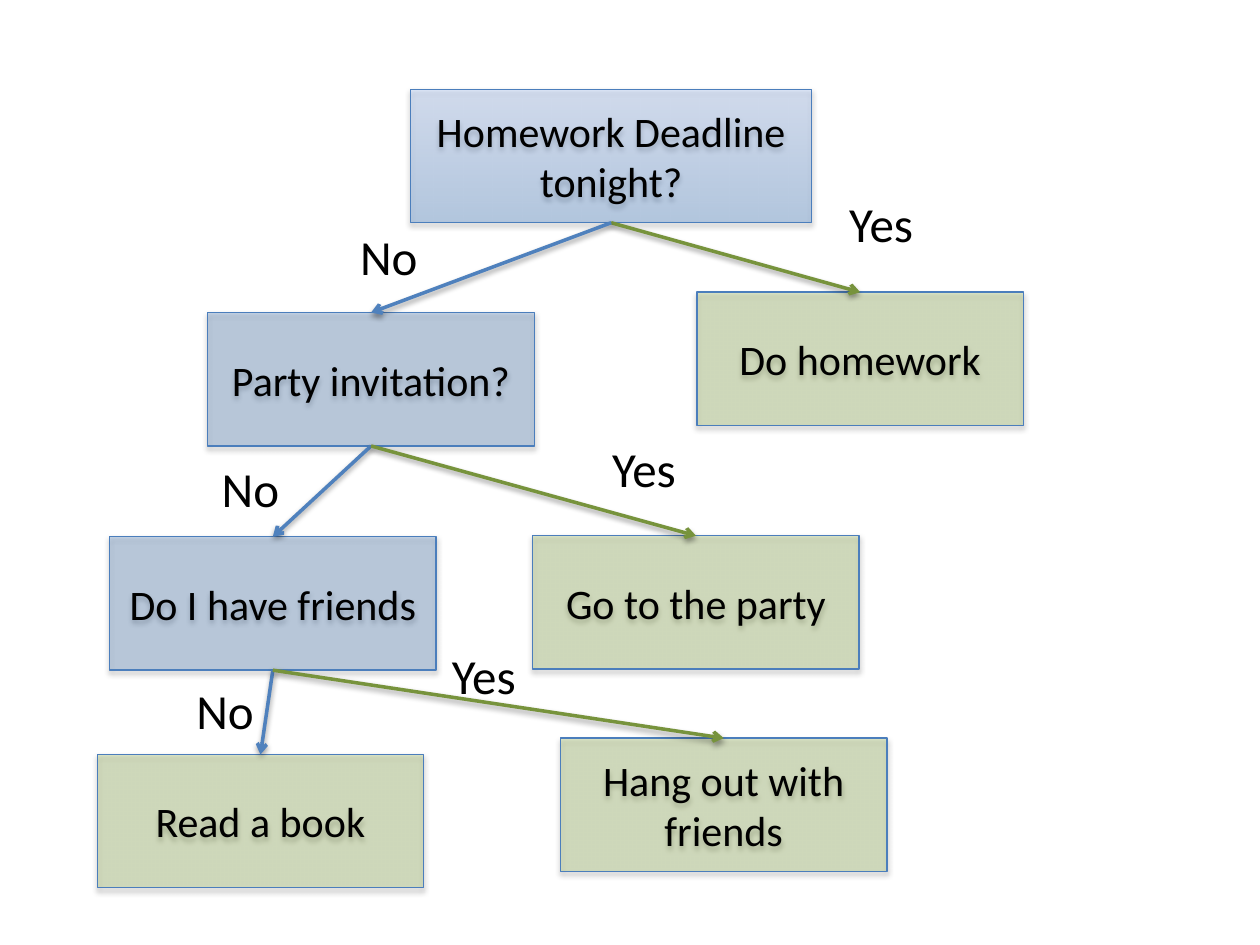
"""Draw a decision tree for how to spend the evening."""
from pptx import Presentation
from pptx.dml.color import RGBColor
from pptx.enum.shapes import MSO_CONNECTOR, MSO_SHAPE
from pptx.enum.text import MSO_ANCHOR, MSO_AUTO_SIZE, PP_ALIGN
from pptx.oxml.ns import qn
from pptx.util import Cm, Pt

RECTANGLE = MSO_SHAPE.RECTANGLE
STRAIGHT = MSO_CONNECTOR.STRAIGHT
MIDDLE = MSO_ANCHOR.MIDDLE
CENTER = PP_ALIGN.CENTER
FIT_SHAPE = MSO_AUTO_SIZE.SHAPE_TO_FIT_TEXT

BLACK = RGBColor(0x00, 0x00, 0x00)
BLUE = RGBColor(0x4F, 0x81, 0xBD)
GREEN = RGBColor(0x9B, 0xBB, 0x59)
DARK_GREEN = RGBColor(0x77, 0x93, 0x3C)
OUTLINE = RGBColor(0x4B, 0x7E, 0xBC)
ROOT_BOTTOM = RGBColor(0x3F, 0x80, 0xCE)
ROOT_TOP = RGBColor(0xA4, 0xC4, 0xFF)

TOP_SITE, BOTTOM_SITE = 0, 2
BOX_WIDTH, BOX_HEIGHT = 6.58, 2.69
ARROW_COLORS = {"No": BLUE, "Yes": DARK_GREEN}
LABEL_WIDTHS = {"No": 1.68, "Yes": 1.88}


class TreePage:
    def __init__(self, page, font="Calibri", opacity=30):
        self.page = page
        self.font = font
        self.opacity = opacity

    def add_text(self, frame, text, size):
        para = frame.paragraphs[0]
        span = para.add_run()
        span.text = text
        span.font.name = self.font
        span.font.size = Pt(size)
        span.font.color.rgb = BLACK
        return para

    def node(self, text, left, top, colors, width=BOX_WIDTH):
        box = self.page.shapes.add_shape(
            RECTANGLE, Cm(left), Cm(top), Cm(width), Cm(BOX_HEIGHT))
        if len(colors) == 1:
            box.fill.solid()
            box.fill.fore_color.rgb = colors[0]
        else:
            box.fill.gradient()
            box.fill.gradient_angle = 90
            for stop, color in zip(box.fill.gradient_stops, colors):
                stop.color.rgb = color
        for color in box._element.spPr.iter(qn("a:srgbClr")):
            alpha = color.makeelement(qn("a:alpha"), {"val": str(self.opacity * 1000)})
            color.append(alpha)
        box.line.color.rgb = OUTLINE
        box.line.width = Pt(0.75)
        box.text_frame.word_wrap = True
        box.text_frame.vertical_anchor = MIDDLE
        self.add_text(box.text_frame, text, 24).alignment = CENTER
        return box

    def arrow(self, parent, child, color):
        arrow = self.page.shapes.add_connector(STRAIGHT, 0, 0, 0, 0)
        arrow.begin_connect(parent, BOTTOM_SITE)
        arrow.end_connect(child, TOP_SITE)
        arrow.line.color.rgb = color
        arrow.line.width = Pt(2)
        line = arrow.line._get_or_add_ln()
        line.append(line.makeelement(qn("a:tailEnd"), {"type": "arrow"}))

    def label(self, text, left, top):
        box = self.page.shapes.add_textbox(
            Cm(left), Cm(top), Cm(LABEL_WIDTHS[text]), Cm(1.45))
        box.text_frame.word_wrap = False
        box.text_frame.auto_size = FIT_SHAPE
        self.add_text(box.text_frame, text, 28)

    def branch(self, parent, answer, label_at, text, box_at, color):
        child = self.node(text, *box_at, [color])
        self.arrow(parent, child, ARROW_COLORS[answer])
        self.label(answer, *label_at)
        return child


def main():
    deck = Presentation()
    deck.slide_width, deck.slide_height = Cm(25.4), Cm(19.05)
    tree = TreePage(deck.slides.add_slide(deck.slide_layouts[6]))

    deadline = tree.node("Homework Deadline tonight?", 8.28, 1.8,
                         [ROOT_BOTTOM, ROOT_TOP], width=8.08)
    tree.branch(deadline, "Yes", (16.87, 3.78), "Do homework", (14.05, 5.89), GREEN)
    party = tree.branch(deadline, "No", (7.01, 4.45), "Party invitation?", (4.19, 6.3), BLUE)
    friends = tree.branch(party, "No", (4.22, 9.12), "Do I have friends", (2.21, 10.82), BLUE)
    tree.branch(party, "Yes", (12.09, 8.71), "Go to the party", (10.74, 10.8), GREEN)
    tree.branch(friends, "No", (3.71, 13.59), "Read a book", (1.96, 15.21), GREEN)
    tree.branch(friends, "Yes", (8.86, 12.88), "Hang out with friends", (11.3, 14.88), GREEN)

    deck.save("out.pptx")


if __name__ == "__main__":
    main()
